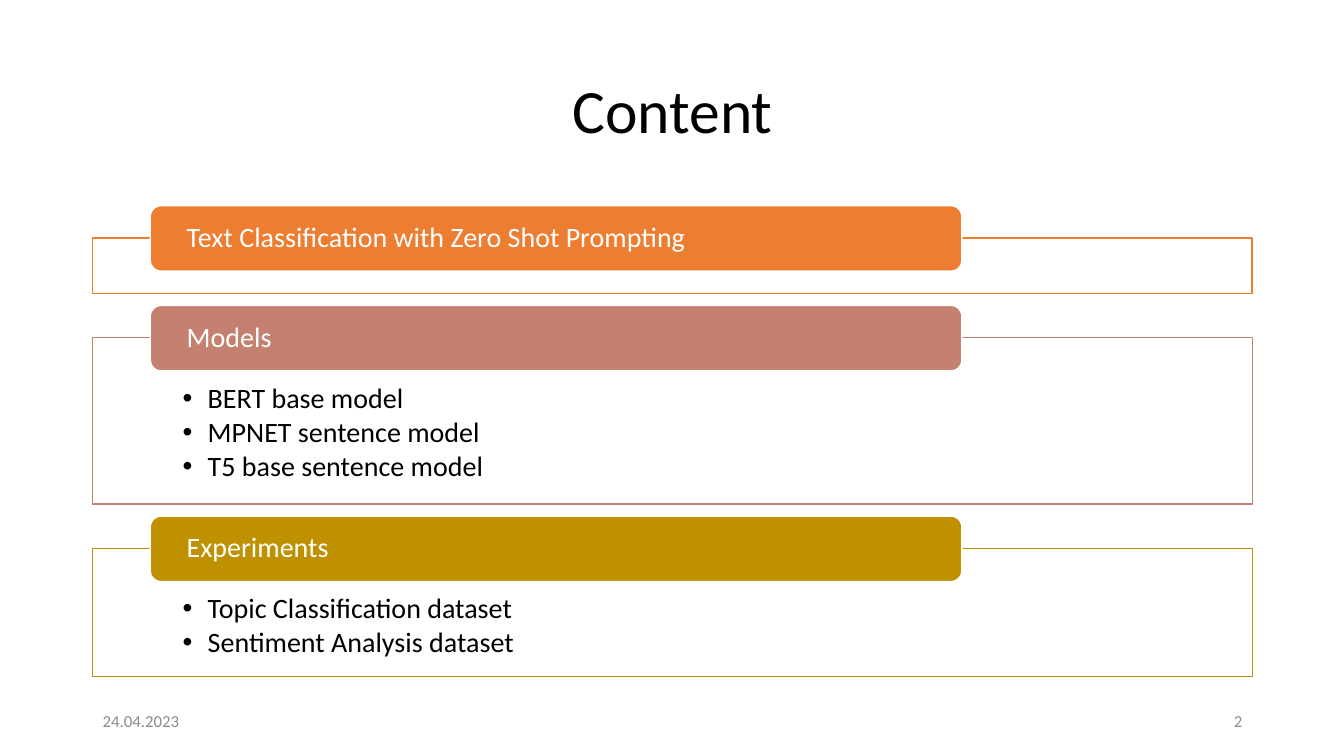
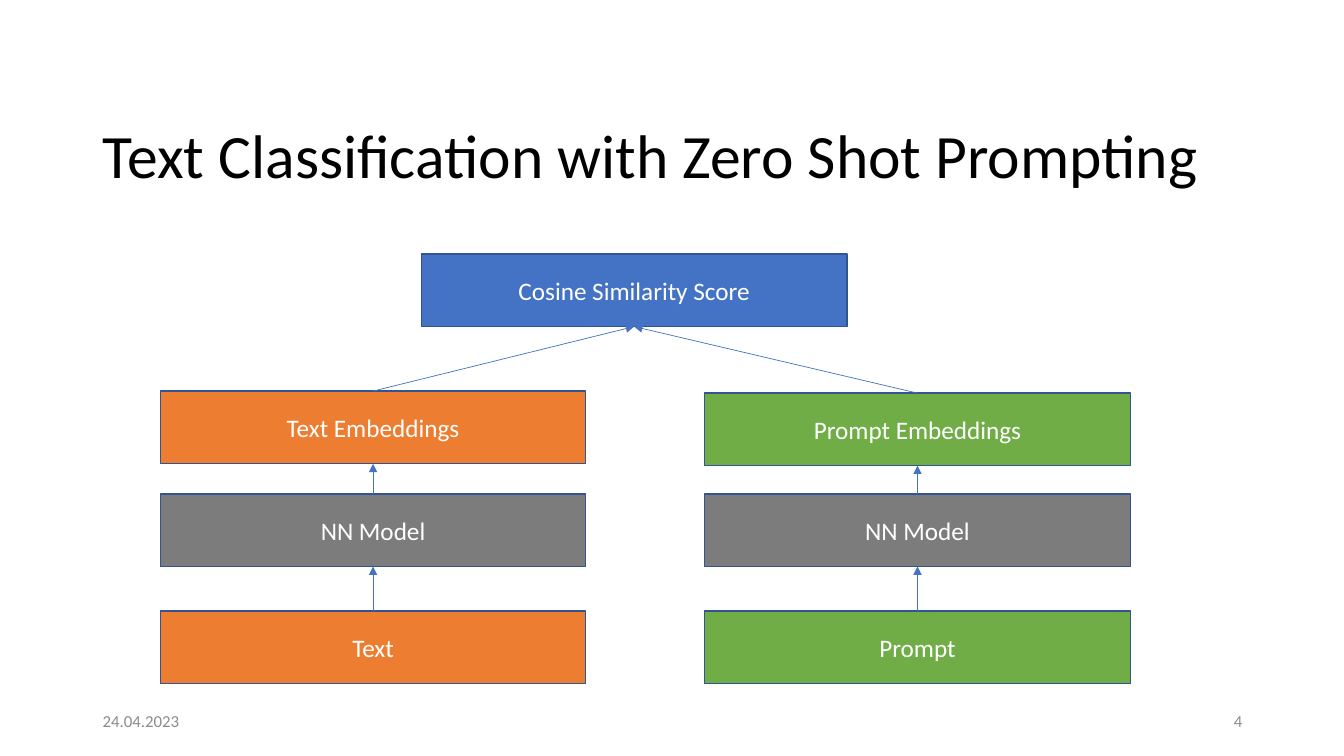
from lxml.etree import SubElement
from pptx import Presentation
from pptx.dml.color import RGBColor
from pptx.enum.shapes import MSO_CONNECTOR, MSO_SHAPE
from pptx.enum.text import MSO_ANCHOR, MSO_AUTO_SIZE, PP_ALIGN
from pptx.oxml.ns import qn
from pptx.util import Emu, Pt

EMU_PER_PX = 9144
FONT = "Calibri"
BLACK = RGBColor(0x00, 0x00, 0x00)
WHITE = RGBColor(0xFF, 0xFF, 0xFF)
FOOTER_GREY = RGBColor(0x8C, 0x8C, 0x8C)
MODEL_GREY = RGBColor(0x7C, 0x7C, 0x7C)
ORANGE = RGBColor(0xED, 0x7D, 0x31)
ROSE = RGBColor(0xC4, 0x81, 0x70)
GOLD = RGBColor(0xBF, 0x90, 0x00)
GREEN = RGBColor(0x70, 0xAD, 0x47)
BLUE = RGBColor(0x44, 0x72, 0xC4)
OUTLINE_BLUE = RGBColor(0x32, 0x54, 0x91)

MARGIN, CONTENT_WIDTH = 92, 1150
TITLE_HEIGHT = 145
SECTION_GAP = 44
BOX_WIDTH, BOX_HEIGHT = 422, 72
TWO_CONTENT, TITLE_ONLY = 3, 5


def px(length):
    return Emu(length * EMU_PER_PX)


class Deck:
    """Hold the shared style and the slide being built."""

    def __init__(self):
        self.presentation = Presentation()
        self.presentation.slide_width = px(1333)
        self.presentation.slide_height = px(750)
        self.slide = None

    def add_slide(self, layout, title, title_top, alignment, number):
        layouts = self.presentation.slide_layouts
        self.slide = self.presentation.slides.add_slide(layouts[layout])
        shape = self.slide.shapes.title
        self.place(shape, MARGIN, title_top, CONTENT_WIDTH, TITLE_HEIGHT)
        self.set_text(shape, [title], 44, BLACK, alignment, line_spacing=0.9)
        self.footer("24.04.2023", MARGIN, PP_ALIGN.LEFT)
        self.footer(number, 942, PP_ALIGN.RIGHT)

    def place(self, shape, left, top, width, height):
        shape.left, shape.top = px(left), px(top)
        shape.width, shape.height = px(width), px(height)

    def set_text(self, shape, lines, size, color, alignment=PP_ALIGN.LEFT,
                 anchor=MSO_ANCHOR.MIDDLE, line_spacing=1.0):
        frame = shape.text_frame
        frame.text = "\n".join(lines)
        frame.word_wrap = True
        frame.auto_size = MSO_AUTO_SIZE.NONE
        frame.vertical_anchor = anchor
        for paragraph in frame.paragraphs:
            paragraph.alignment = alignment
            paragraph.line_spacing = line_spacing
            for run in paragraph.runs:
                run.font.name = FONT
                run.font.size = Pt(size)
                run.font.color.rgb = color

    def set_insets(self, shape, left, top, right, bottom):
        frame = shape.text_frame
        frame.margin_left, frame.margin_top = px(left), px(top)
        frame.margin_right, frame.margin_bottom = px(right), px(bottom)

    def paint(self, shape, fill, outline):
        shape.shadow.inherit = False
        shape.fill.solid()
        shape.fill.fore_color.rgb = fill
        shape.line.color.rgb = outline
        shape.line.width = Pt(1)

    def footer(self, text, left, alignment):
        shape = self.slide.shapes.add_textbox(px(left), px(695), px(300), px(40))
        self.set_text(shape, [text], 12, FOOTER_GREY, alignment)

    def box(self, preset, left, top, width, height, fill, outline):
        shape = self.slide.shapes.add_shape(
            preset, px(left), px(top), px(width), px(height))
        self.paint(shape, fill, outline)
        return shape

    def bullet_list(self, placeholder, lines):
        self.set_text(placeholder, lines, 20, BLACK,
                      anchor=MSO_ANCHOR.TOP, line_spacing=0.9)
        self.set_insets(placeholder, 89, 46, 89, 16)
        for paragraph in placeholder.text_frame.paragraphs:
            paragraph.space_before = Pt(0)
            paragraph.space_after = Pt(2.7)
            properties = paragraph._p.get_or_add_pPr()
            properties.set("marL", str(px(25)))
            properties.set("indent", str(px(-25)))

    def section(self, heading, top, height, color, lines, placeholder):
        if placeholder is None:
            self.box(MSO_SHAPE.RECTANGLE, MARGIN, top, CONTENT_WIDTH, height,
                     WHITE, color)
        else:
            self.place(placeholder, MARGIN, top, CONTENT_WIDTH, height)
            self.paint(placeholder, WHITE, color)
            self.bullet_list(placeholder, lines)
        header = self.box(MSO_SHAPE.ROUNDED_RECTANGLE, 149, top - 32, 805, 65,
                          color, WHITE)
        self.set_text(header, [heading], 20, WHITE, line_spacing=0.9)
        self.set_insets(header, 33, 0, 33, 0)

    def node(self, text, left, top, fill):
        shape = self.box(MSO_SHAPE.RECTANGLE, left, top, BOX_WIDTH, BOX_HEIGHT,
                         fill, OUTLINE_BLUE)
        self.set_text(shape, [text], 18, WHITE, PP_ALIGN.CENTER)
        return shape

    def arrow_up(self, lower, upper):
        connector = self.slide.shapes.add_connector(
            MSO_CONNECTOR.STRAIGHT, 0, 0, 0, 0)
        connector.begin_connect(lower, 0)
        connector.end_connect(upper, 2)
        connector.line.color.rgb = BLUE
        connector.line.width = Pt(0.5)
        properties = connector.element.spPr
        SubElement(properties.get_or_add_ln(), qn("a:tailEnd"), type="triangle")
        SubElement(properties, qn("a:effectLst"))


def build_content(deck):
    deck.add_slide(TWO_CONTENT, "Content", 40, PP_ALIGN.CENTER, "2")
    first_list, second_list = list(deck.slide.placeholders)[1:3]
    sections = [
        ("Text Classification with Zero Shot Prompting", 55, ORANGE, [], None),
        ("Models", 165, ROSE,
         ["BERT base model", "MPNET sentence model", "T5 base sentence model"],
         first_list),
        ("Experiments", 127, GOLD,
         ["Topic Classification dataset", "Sentiment Analysis dataset"],
         second_list),
    ]
    top = 236
    for heading, height, color, lines, placeholder in sections:
        deck.section(heading, top, height, color, lines, placeholder)
        top += height + SECTION_GAP


def build_pipeline(deck):
    deck.add_slide(TITLE_ONLY, "Text Classification with Zero Shot Prompting",
                   85, PP_ALIGN.LEFT, "4")
    score = deck.node("Cosine Similarity Score", 418, 252, BLUE)
    branches = [("Text", 159, 388, ORANGE), ("Prompt", 699, 390, GREEN)]
    for name, left, embeddings_top, color in branches:
        source = deck.node(name, left, 606, color)
        model = deck.node("NN Model", left, 490, MODEL_GREY)
        embeddings = deck.node(f"{name} Embeddings", left, embeddings_top, color)
        chain = [source, model, embeddings, score]
        for lower, upper in zip(chain, chain[1:]):
            deck.arrow_up(lower, upper)


def main():
    deck = Deck()
    build_content(deck)
    build_pipeline(deck)
    deck.presentation.save("out.pptx")


if __name__ == "__main__":
    main()
